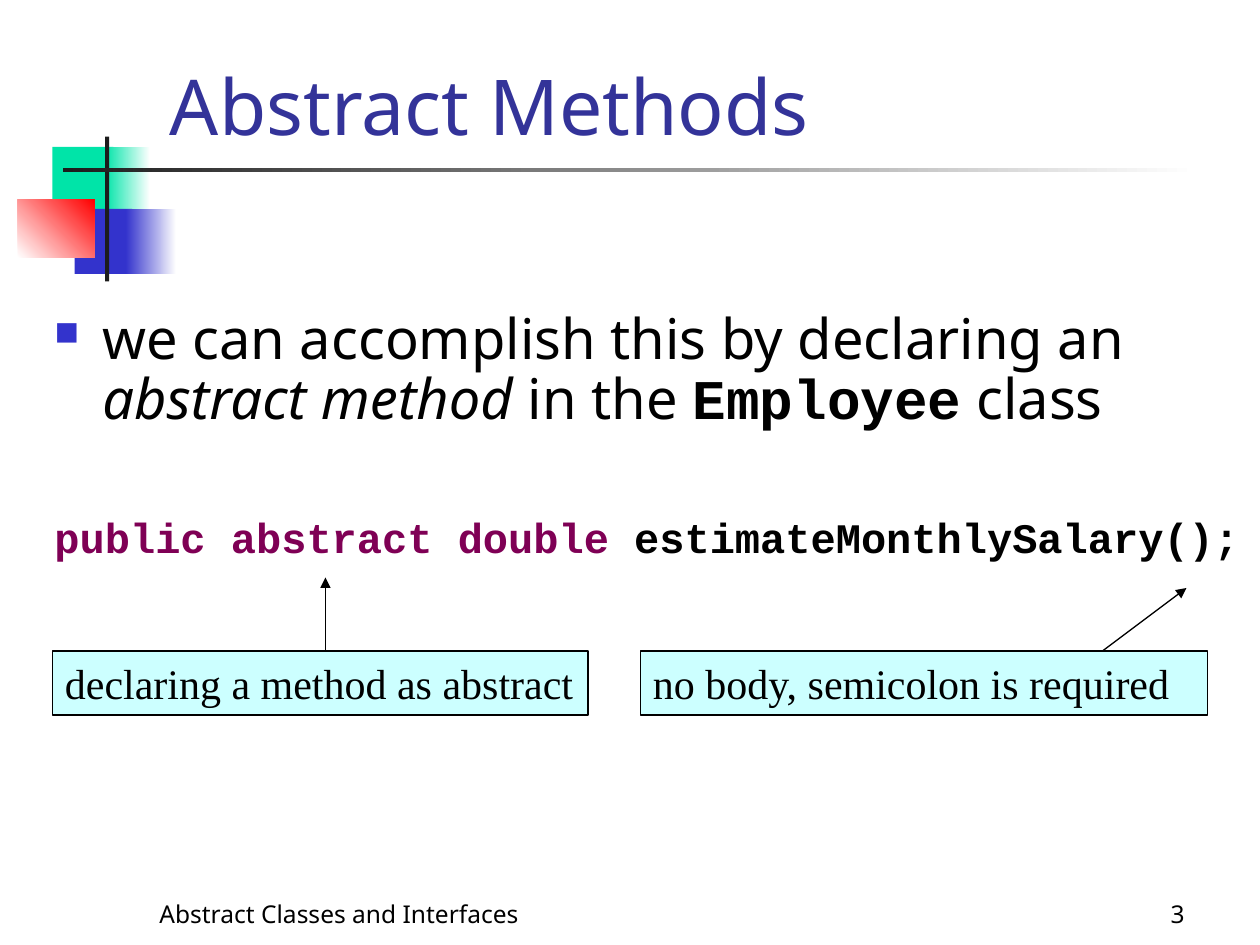
"""Build the slide on abstract methods on a grid of 120 columns by 90 rows."""
from dataclasses import dataclass

from lxml.etree import SubElement as Sub
from pptx import Presentation
from pptx.dml.color import RGBColor as RGB
from pptx.enum.shapes import MSO_CONNECTOR as Link, MSO_SHAPE as Kind
from pptx.enum.text import MSO_ANCHOR as Anchor, PP_ALIGN as Align
from pptx.oxml.ns import qn
from pptx.util import Emu, Inches, Pt


@dataclass(frozen=True)
class Theme:
    green: str = "00E4A8"
    blue: str = "3333CC"
    red: str = "FF0000"
    white: str = "FFFFFF"
    dark: str = "1C1C1C"
    black: str = "000000"
    navy: str = "333399"
    plum: str = "7F0055"
    aqua: str = "CCFFFF"
    sans: str = "Noto Sans"
    mono: str = "Courier New"
    serif: str = "Times New Roman"
    head: int = 44
    body: int = 32
    code: int = 24
    foot: int = 14
    rule: float = 0.75


class Deck:
    def __init__(self, theme):
        self.prs = Presentation()
        self.prs.slide_width, self.prs.slide_height = Inches(10), Inches(7.5)
        self.unit = self.prs.slide_width / 120
        self.slide = self.prs.slides.add_slide(self.prs.slide_layouts[6])
        self.theme = theme

    def grid(self, *cells):
        return [Emu(round(c * self.unit)) for c in cells]

    def rect(self, area, tint, fade=None, angle=0):
        box = self.slide.shapes.add_shape(Kind.RECTANGLE, *self.grid(*area))
        box.shadow.inherit = False
        box.line.fill.background()
        if fade:
            box.fill.gradient()
            box.fill.gradient_angle = angle
            for stop, hue in zip(box.fill.gradient_stops, (tint, fade)):
                stop.color.rgb = RGB.from_string(hue)
        else:
            box.fill.solid()
            box.fill.fore_color.rgb = RGB.from_string(tint)
        return box

    def run(self, para, text, size, font=None, tint=None, bold=False, slant=False):
        run = para.add_run()
        run.text = text
        face = run.font
        face.name, face.size = font or self.theme.sans, Pt(size)
        face.bold, face.italic = bold, slant
        face.color.rgb = RGB.from_string(tint or self.theme.black)

    def frame(self, area, anchor=Anchor.TOP):
        frame = self.slide.shapes.add_textbox(*self.grid(*area)).text_frame
        frame.word_wrap = True
        frame.vertical_anchor = anchor
        return frame

    def label(self, area, text, size, tint=None, align=Align.LEFT):
        para = self.frame(area, Anchor.BOTTOM).paragraphs[0]
        para.alignment = align
        self.run(para, text, size, tint=tint)

    def bullet(self, para):
        props = para._p.get_or_add_pPr()
        hang = Inches(0.38)
        props.set("marL", str(hang))
        props.set("indent", str(-hang))
        hue = Sub(props, qn("a:buClr"))
        Sub(hue, qn("a:srgbClr"), val=self.theme.blue)
        Sub(props, qn("a:buSzPct"), val="60000")
        Sub(props, qn("a:buChar"), char="■")

    def note(self, area, text):
        look = self.theme
        box = self.rect(area, look.aqua)
        box.line.color.rgb = RGB.from_string(look.black)
        box.line.width = Pt(look.rule)
        box.text_frame.vertical_anchor = Anchor.TOP
        para = box.text_frame.paragraphs[0]
        para.alignment = Align.LEFT
        self.run(para, text, look.code, look.serif)

    def arrow(self, *ends):
        line = self.slide.shapes.add_connector(Link.STRAIGHT, *self.grid(*ends))
        line.line.color.rgb = RGB.from_string(self.theme.black)
        line.line.width = Pt(self.theme.rule)
        Sub(line.line._get_or_add_ln(), qn("a:tailEnd"), type="triangle")
        Sub(line._element.spPr, qn("a:effectLst"))

    def save(self):
        self.prs.save("out.pptx")


def main():
    look = Theme()
    deck = Deck(look)

    deck.rect((5, 14, 5.8, 6.2), look.green)
    deck.rect((10, 14, 4.3, 6.2), look.green, look.white)
    deck.rect((7.1, 19.9, 5.5, 6.2), look.blue)
    deck.rect((12, 19.9, 4.8, 6.2), look.blue, look.white)
    deck.rect((1.7, 19, 7.3, 5.5), look.white, look.red, 45)
    deck.rect((10, 13, 0.4, 13.8), look.dark)
    deck.rect((6, 16, 108, 0.4), look.dark, look.white)

    deck.label((14, 83, 38, 6), "Abstract Classes and Interfaces", look.foot)
    deck.label((89, 83, 25, 6), "3", look.foot, align=Align.RIGHT)
    deck.label((15, 0, 102.2, 15), "Abstract Methods", look.head, look.navy)

    body = deck.frame((4, 29, 116, 51.5))
    point, code = body.paragraphs[0], body.add_paragraph()
    point.line_spacing = code.line_spacing = 0.9
    code.space_before = Pt(49)
    deck.bullet(point)
    deck.run(point, "we can accomplish this by declaring an ", look.body)
    deck.run(point, "abstract method", look.body, slant=True)
    deck.run(point, " in the ", look.body)
    deck.run(point, "Employee", look.body, look.mono, bold=True)
    deck.run(point, " class", look.body)
    deck.run(code, "public abstract double", look.code, look.mono, look.plum, True)
    deck.run(code, " estimateMonthlySalary();", look.code, look.mono, bold=True)

    deck.note((5, 62, 51, 6.1), "declaring a method as abstract")
    deck.arrow(31, 62, 31, 55)
    deck.note((61, 62, 54, 6.1), "no body, semicolon is required")
    deck.arrow(105, 62, 113, 56)
    deck.save()


if __name__ == "__main__":
    main()
